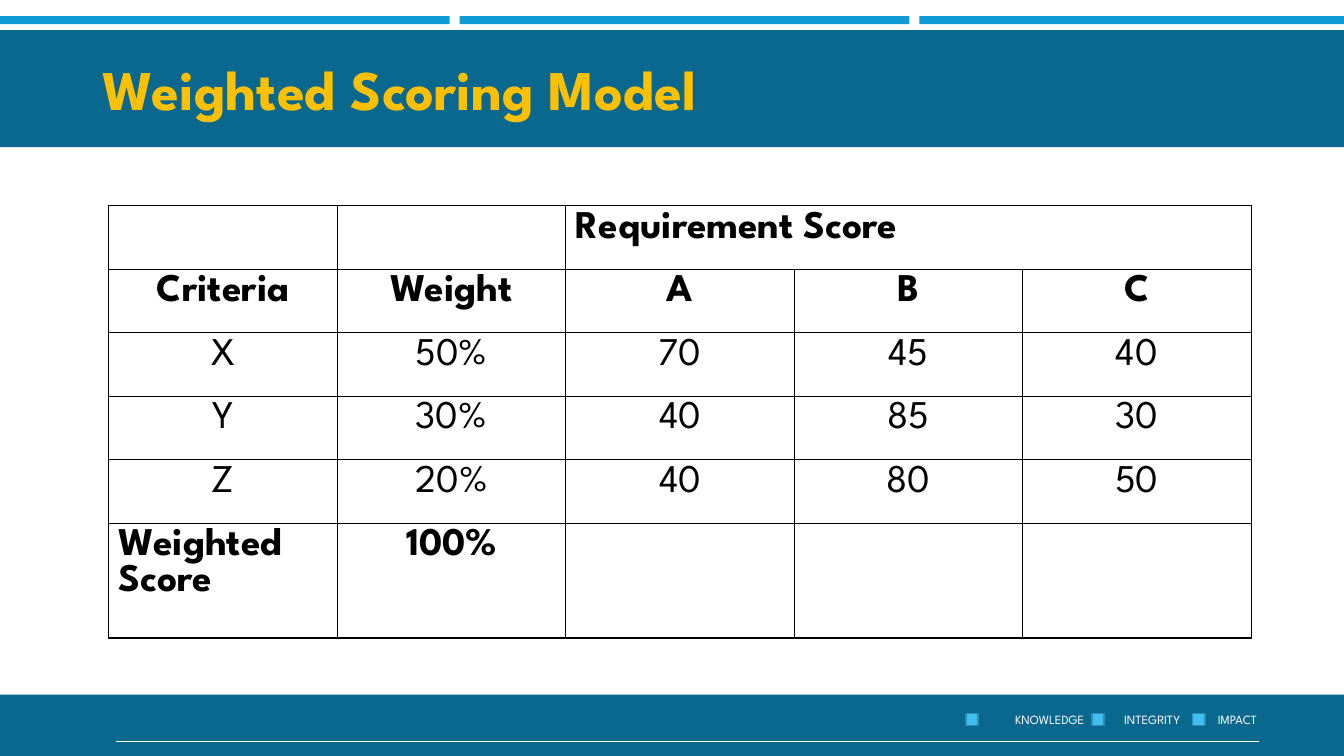
from lxml.etree import SubElement
from pptx import Presentation
from pptx.dml.color import RGBColor
from pptx.enum.shapes import MSO_CONNECTOR, MSO_SHAPE
from pptx.enum.text import MSO_ANCHOR, PP_ALIGN
from pptx.oxml.ns import qn
from pptx.util import Inches, Pt

FONT = "League Spartan"
COLORS = {
    "band": "0A688E",
    "stripe": "0F9CD5",
    "marker": "3FBEF1",
    "marker_line": "2F8DB2",
    "title": "FFC000",
    "white": "FFFFFF",
    "black": "000000",
}
ROWS = [
    ["", "", "Requirement Score", "", ""],
    ["Criteria", "Weight", "A", "B", "C"],
    ["X", "50%", "70", "45", "40"],
    ["Y", "30%", "40", "85", "30"],
    ["Z", "20%", "40", "80", "50"],
    ["Weighted Score", "100%", "", "", ""],
]
ROW_HEIGHTS = [0.63] * 5 + [1.14]
BOLD_ROWS = (0, 1, 5)
LEFT_ALIGNED = ("Requirement Score", "Weighted Score")


def color(name):
    return RGBColor.from_string(COLORS[name])


def format_font(font, color_name, **values):
    for name, value in {"name": FONT, **values}.items():
        setattr(font, name, value)
    font.color.rgb = color(color_name)


def add_rectangle(slide, box, fill, line=None):
    shape = slide.shapes.add_shape(MSO_SHAPE.RECTANGLE, *map(Inches, box))
    shape.shadow.inherit = False
    shape.fill.solid()
    shape.fill.fore_color.rgb = color(fill)
    if line:
        shape.line.color.rgb = color(line)
        shape.line.width = Pt(1)
    else:
        shape.line.fill.background()


def add_rule(slide, left, right, top):
    connector = slide.shapes.add_connector(
        MSO_CONNECTOR.STRAIGHT, Inches(left), Inches(top), Inches(right), Inches(top)
    )
    connector.line.color.rgb = color("white")
    connector.line.width = Pt(0.5)
    SubElement(connector.element.spPr, qn("a:effectLst"))


def add_text(slide, box, text, color_name, tabs=(), anchor=MSO_ANCHOR.TOP, spacing=None, **font):
    text_frame = slide.shapes.add_textbox(*map(Inches, box)).text_frame
    text_frame.word_wrap = True
    text_frame.vertical_anchor = anchor
    paragraph = text_frame.paragraphs[0]
    paragraph.text = text
    paragraph.line_spacing = spacing
    if tabs:
        tab_list = SubElement(paragraph._p.get_or_add_pPr(), qn("a:tabLst"))
        for position in tabs:
            SubElement(tab_list, qn("a:tab"), pos=str(Inches(position)), algn="l")
    format_font(paragraph.font, color_name, **font)


def add_borders(cell):
    properties = cell._tc.get_or_add_tcPr()
    for side in ("lnL", "lnR", "lnT", "lnB"):
        border = SubElement(properties, qn(f"a:{side}"), w=str(Pt(1)))
        fill = SubElement(border, qn("a:solidFill"))
        SubElement(fill, qn("a:srgbClr"), val=COLORS["black"])


def fill_cell(cell, text, bold):
    add_borders(cell)
    cell.fill.background()
    paragraph = cell.text_frame.paragraphs[0]
    paragraph.text = text
    paragraph.alignment = PP_ALIGN.LEFT if text in LEFT_ALIGNED else PP_ALIGN.CENTER
    format_font(paragraph.font, "black", size=Pt(28), bold=bold)


def add_score_table(slide):
    box = (1.08, 2.04, 11.33, sum(ROW_HEIGHTS))
    table = slide.shapes.add_table(len(ROWS), len(ROWS[0]), *map(Inches, box)).table
    table.first_row = False
    table.horz_banding = False
    for row, height in zip(table.rows, ROW_HEIGHTS):
        row.height = Inches(height)
    for row_index, texts in enumerate(ROWS):
        for column_index, text in enumerate(texts):
            fill_cell(table.cell(row_index, column_index), text, row_index in BOLD_ROWS)
    table.cell(0, 2).merge(table.cell(0, 4))


def add_footer(slide):
    add_rectangle(slide, (-0.04, 6.89, 13.38, 0.79), "band")
    add_rule(slide, 1.15, 12.49, 7.35)
    add_text(slide, (9.97, 7.01, 2.61, 0.25), "KNOWLEDGE\tINTEGRITY\tIMPACT", "white",
             tabs=(1.08, 2.01), size=Pt(9))
    for left in (9.58, 10.83, 11.83):
        add_rectangle(slide, (left, 7.08, 0.12, 0.12), "marker", "marker_line")


def add_header(slide):
    for index in range(3):
        add_rectangle(slide, (index * 4.56, 0.16, 4.46, 0.08), "stripe")
    add_rectangle(slide, (-0.04, 0.3, 13.38, 1.16), "band")
    add_text(slide, (0.92, 0.44, 11.5, 0.83), "Weighted Scoring Model", "title",
             anchor=MSO_ANCHOR.BOTTOM, spacing=0.9, size=Pt(40), bold=True)


def main():
    presentation = Presentation()
    presentation.slide_width = Inches(13.33)
    presentation.slide_height = Inches(7.5)
    slide = presentation.slides.add_slide(presentation.slide_layouts[6])
    add_footer(slide)
    add_header(slide)
    add_score_table(slide)
    presentation.save("out.pptx")


if __name__ == "__main__":
    main()
